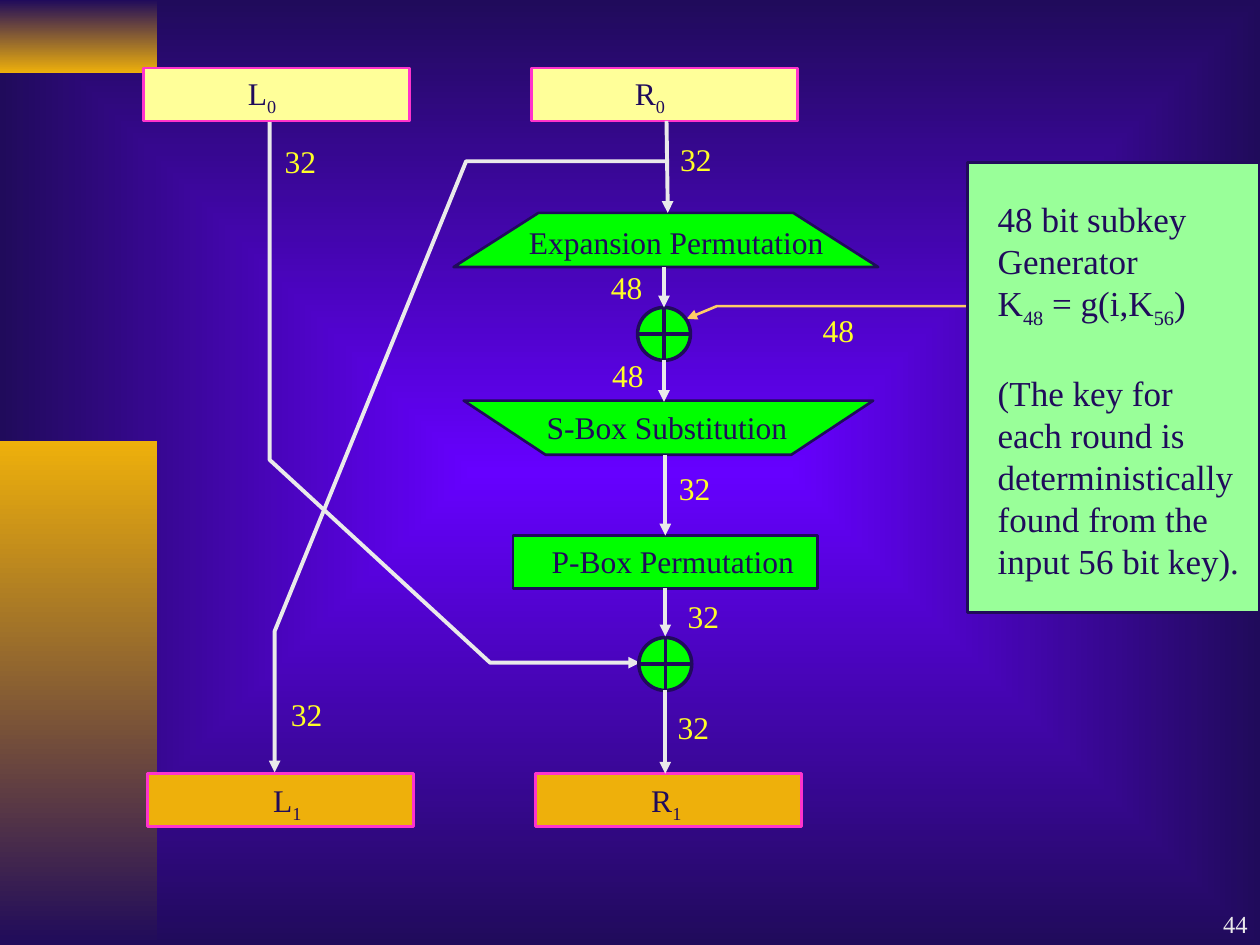
from dataclasses import dataclass
from typing import NamedTuple, Optional

from lxml.etree import SubElement as Sub
from pptx import Presentation
from pptx.dml.color import RGBColor as Rgb
from pptx.enum.shapes import MSO_CONNECTOR as Link, MSO_SHAPE as Kind
from pptx.enum.text import MSO_ANCHOR as Anchor, PP_ALIGN as Align
from pptx.oxml.ns import qn
from pptx.util import Inches, Pt

COLS, ROWS = 100, 75          # grid over the slide
WIDE, HIGH = Inches(10), Inches(7.5)


@dataclass(frozen=True)
class Theme:
    font: str = "Times New Roman"
    ink: str = "200B5B"
    glow: str = "6600FF"
    gold: str = "EEB00B"
    cream: str = "FFFF99"
    pink: str = "FF33CC"
    green: str = "00FF00"
    mint: str = "99FF99"
    wire: str = "EAEAEA"
    key: str = "FFCC66"
    bits: str = "FFFF27"
    body: int = 18
    note: int = 20
    page: int = 14
    thin: float = 1.5
    mid: float = 2
    bold: float = 2.25


T = Theme()


class Node(NamedTuple):
    name: str
    kind: Kind
    box: tuple
    fill: str
    line: str = T.ink
    width: float = T.thin
    flip: bool = False


class Label(NamedTuple):
    lines: tuple              # text between bars is subscript
    box: tuple
    color: str = T.ink
    size: int = T.body
    wrap: bool = False
    right: bool = False
    gap: Optional[int] = None  # line that has an open row above it


class Wire(NamedTuple):
    dots: tuple
    color: str = T.wire
    width: float = T.bold


class Arrow(NamedTuple):
    start: tuple
    end: tuple
    source: str = ""
    goal: str = ""


def col(x: float) -> int:
    return round(WIDE * x / COLS)


def row(y: float) -> int:
    return round(HIGH * y / ROWS)


def place(box: tuple) -> tuple:
    x, y, w, h = box
    return col(x), row(y), col(w), row(h)


def apply(item, values: dict) -> None:
    for name, value in values.items():
        setattr(item, name, value)


def blend(fill, first: str, last: str) -> None:
    fill.gradient()
    for stop, tone in zip(fill.gradient_stops, (first, last)):
        stop.color.rgb = Rgb.from_string(tone)


def stroke(shape, color: str, width: float, head: bool = False) -> None:
    shape.line.color.rgb = Rgb.from_string(color)
    shape.line.width = Pt(width)
    if head:
        Sub(shape.element.spPr.find(qn("a:ln")), qn("a:tailEnd"), type="triangle")


def backdrop(slide) -> None:
    blend(slide.background.fill, T.glow, T.ink)
    grad = next(slide.element.iter(qn("a:gradFill")))
    grad.remove(grad.find(qn("a:lin")))
    path = Sub(grad, qn("a:path"), path="rect")
    Sub(path, qn("a:fillToRect"), dict.fromkeys("ltrb", "50000"))


def panel(shapes, box: tuple, first: str, last: str) -> None:
    shape = shapes.add_shape(Kind.RECTANGLE, *place(box))
    shape.shadow.inherit = False
    blend(shape.fill, first, last)
    shape.fill.gradient_angle = 270
    shape.line.fill.background()


def draw_node(shapes, node: Node):
    shape = shapes.add_shape(node.kind, *place(node.box))
    shape.shadow.inherit = False
    shape.fill.solid()
    shape.fill.fore_color.rgb = Rgb.from_string(node.fill)
    stroke(shape, node.line, node.width)
    if node.flip:
        shape.element.spPr.find(qn("a:xfrm")).set("flipV", "1")
    return shape


def draw_wire(shapes, wire: Wire) -> None:
    dots = [(col(x), row(y)) for x, y in wire.dots]
    pen = shapes.build_freeform(*dots[0])
    pen.add_line_segments(dots[1:], close=False)
    shape = pen.convert_to_shape()
    shape.shadow.inherit = False
    shape.fill.background()
    stroke(shape, wire.color, wire.width, head=True)


def draw_arrow(shapes, arrow: Arrow, nodes: dict) -> None:
    (x, y), (u, v) = arrow.start, arrow.end
    line = shapes.add_connector(Link.STRAIGHT, col(x), row(y), col(u), row(v))
    if arrow.source:
        line.begin_connect(nodes[arrow.source], 2)
    if arrow.goal:
        line.end_connect(nodes[arrow.goal], 0)
    stroke(line, T.wire, T.bold, head=True)
    Sub(line.element.spPr, qn("a:effectLst"))


def draw_label(shapes, label: Label) -> None:
    frame = shapes.add_textbox(*place(label.box)).text_frame
    frame.word_wrap = label.wrap
    if label.right:
        frame.vertical_anchor = Anchor.BOTTOM
    style = {"name": T.font, "size": Pt(label.size)}
    for i, line in enumerate(label.lines):
        para = frame.add_paragraph() if i else frame.paragraphs[0]
        para.alignment = Align.RIGHT if label.right else Align.LEFT
        if i == label.gap:
            para.space_before = Pt(label.size * 1.2)
        for j, part in enumerate(line.split("|")):
            if not part:
                continue
            run = para.add_run()
            run.text = part
            apply(run.font, style)
            run.font.color.rgb = Rgb.from_string(label.color)
            if j % 2:
                run._r.get_or_add_rPr().set("baseline", "-25000")


# Halves, ciphers and key box
HALF = (21.1, 4.2)
RING = (4.2, 4.2)
NODES = (
    Node("L0", Kind.RECTANGLE, (11.4, 5.4, *HALF), T.cream, T.pink),
    Node("R0", Kind.RECTANGLE, (42.2, 5.4, *HALF), T.cream, T.pink),
    Node("L1", Kind.RECTANGLE, (11.7, 61.4, *HALF), T.gold, T.pink),
    Node("R1", Kind.RECTANGLE, (42.5, 61.4, *HALF), T.gold, T.pink),
    Node("grow", Kind.FLOWCHART_MANUAL_OPERATION, (36, 16.9, 33.7, 4.3), T.green, flip=True),
    Node("xor1", Kind.FLOWCHART_OR, (50.6, 24.4, *RING), T.green, width=T.mid),
    Node("sbox", Kind.FLOWCHART_MANUAL_OPERATION, (36.8, 31.8, 32.5, 4.3), T.green),
    Node("pbox", Kind.RECTANGLE, (40.7, 42.5, 24.2, 4.2), T.green),
    Node("xor2", Kind.FLOWCHART_OR, (50.7, 50.6, *RING), T.green, width=T.mid),
    Node("key", Kind.RECTANGLE, (76.8, 12.9, 23.2, 35.7), T.mint, width=T.mid),
)
# Bent paths
WIRES = (
    Wire(((78.5, 24.3), (56.9, 24.3), (54.5, 25.3)), T.key, T.thin),
    Wire(((21.4, 9.6), (21.4, 36.5), (38.9, 52.6), (50.8, 52.6))),
    Wire(((52.8, 12.8), (37, 12.8), (21.8, 50.1), (21.8, 61.3))),
)
# Straight steps down the right half
ARROWS = (
    Arrow((52.9, 9.6), (53, 16.9)),
    Arrow((52.7, 21.2), (52.7, 24.4)),
    Arrow((52.7, 28.6), (52.7, 31.9)),
    Arrow((52.8, 36.1), (52.8, 42.5), goal="pbox"),
    Arrow((52.8, 46.7), (52.8, 50.5), source="pbox"),
    Arrow((52.8, 54.8), (52.8, 61.4)),
)
NOTE = ("48 bit subkey", "Generator", "K|48| = g(i,K|56|)", "(The key for",
        "each round is", "deterministically", "found from the", "input 56 bit key).")
LABELS = (
    Label(("L|0|",), (18.7, 5.4, 6, 4.4), wrap=True),
    Label(("R|0|",), (49.4, 5.4, 4.5, 4.4), wrap=True),
    Label(("L|1|",), (20.7, 61.5, 9.9, 4.4), wrap=True),
    Label(("R|1|",), (50.7, 61.5, 7.8, 4.4), wrap=True),
    Label(("Expansion Permutation",), (41, 17.2, 25.4, 4)),
    Label(("S-Box Substitution",), (42.4, 31.9, 21.1, 4)),
    Label(("P-Box Permutation",), (42.8, 42.5, 21.2, 4)),
    Label(NOTE, (78.2, 15.2, 21.8, 31.5), size=T.note, wrap=True, gap=3),
    Label(("44",), (79.2, 70, 20.8, 5), T.wire, T.page, wrap=True, right=True),
)
# Bit counts beside the lines
COUNTS = {
    "32": ((53, 10.6), (52.9, 36.7), (53.6, 46.9), (52.8, 55.7), (22.1, 54.7), (21.6, 10.8)),
    "48": ((47.5, 20.8), (64.3, 24.2), (47.6, 27.8)),
}


def main() -> None:
    deck = Presentation()
    apply(deck, {"slide_width": WIDE, "slide_height": HIGH})
    slide = deck.slides.add_slide(deck.slide_layouts[6])
    shapes = slide.shapes
    backdrop(slide)
    panel(shapes, (0, 0, 12.5, 5.8), T.ink, T.gold)
    panel(shapes, (0, 35, 12.5, 40), T.gold, T.ink)
    for wire in WIRES:
        draw_wire(shapes, wire)
    nodes = {node.name: draw_node(shapes, node) for node in NODES}
    for arrow in ARROWS:
        draw_arrow(shapes, arrow, nodes)
    for label in LABELS:
        draw_label(shapes, label)
    for text, spots in COUNTS.items():
        for spot in spots:
            draw_label(shapes, Label((text,), (*spot, 4.5, 4), T.bits))
    deck.save("out.pptx")


if __name__ == "__main__":
    main()
